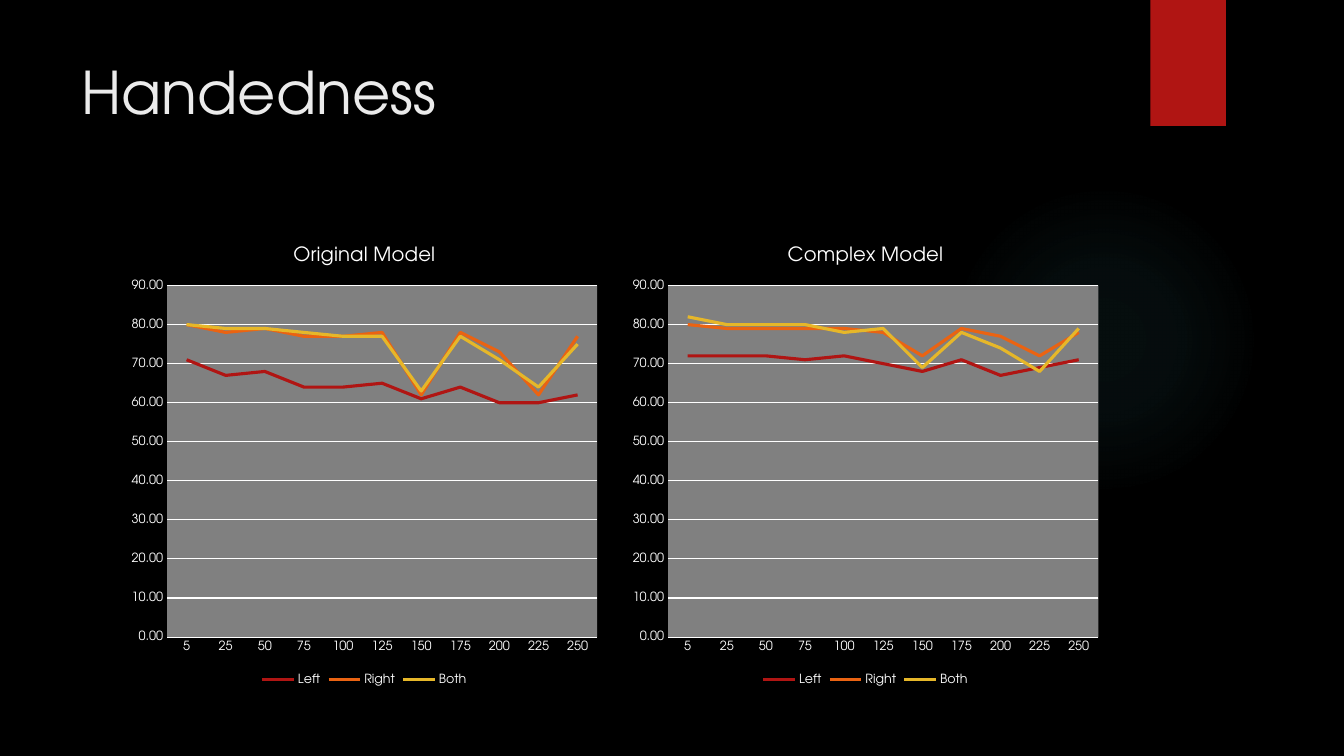
from lxml.etree import SubElement
from pptx import Presentation
from pptx.chart.data import CategoryChartData
from pptx.dml.color import RGBColor
from pptx.enum.chart import XL_CHART_TYPE, XL_LEGEND_POSITION, XL_TICK_MARK
from pptx.enum.shapes import MSO_SHAPE
from pptx.enum.text import MSO_ANCHOR
from pptx.oxml import parse_xml
from pptx.oxml.ns import nsdecls, qn
from pptx.util import Inches, Pt

FONT = "TeX Gyre Adventor"
BLACK = RGBColor(0x00, 0x00, 0x00)
WHITE = RGBColor(0xFF, 0xFF, 0xFF)
TITLE_GREY = RGBColor(0xEB, 0xEB, 0xEB)
PLOT_GREY = RGBColor(0x80, 0x80, 0x80)
TEAL = RGBColor(0x50, 0xB9, 0xC1)
RED = RGBColor(0xB0, 0x15, 0x13)
ORANGE = RGBColor(0xEA, 0x63, 0x12)
YELLOW = RGBColor(0xE6, 0xB7, 0x29)

HAND_COLOURS = {"Left": RED, "Right": ORANGE, "Both": YELLOW}
CATEGORIES = ["5"] + [str(n) for n in range(25, 251, 25)]
MODELS = [
    ("Original Model", 1.21, {
        "Left": [71, 67, 68, 64, 64, 65, 61, 64, 60, 60, 62],
        "Right": [80, 78, 79, 77, 77, 78, 62, 78, 73, 62, 77],
        "Both": [80, 79, 79, 78, 77, 77, 63, 77, 71, 64, 75],
    }),
    ("Complex Model", 6.18, {
        "Left": [72, 72, 72, 71, 72, 70, 68, 71, 67, 69, 71],
        "Right": [80, 79, 79, 79, 79, 78, 72, 79, 77, 72, 78],
        "Both": [82, 80, 80, 80, 78, 79, 69, 78, 74, 68, 79],
    }),
]
PLOT_AREA = {"x": 0.093, "y": 0.127, "w": 0.887, "h": 0.76}


def style_font(font, size, colour=WHITE):
    font.name = FONT
    font.size = Pt(size)
    font.bold = False
    font.color.rgb = colour


prs = Presentation()
prs.slide_width = Inches(13.33)
prs.slide_height = Inches(7.5)
slide = prs.slides.add_slide(prs.slide_layouts[6])
slide.background.fill.solid()
slide.background.fill.fore_color.rgb = BLACK

# Faint teal glow
glow = slide.shapes.add_shape(MSO_SHAPE.OVAL, Inches(9.41), Inches(1.83),
                              Inches(3.08), Inches(3.08))
glow.shadow.inherit = False
glow.line.fill.background()
stops = "".join(
    f'<a:gs pos="{pos * 1000}"><a:srgbClr val="{TEAL}">'
    f'<a:alpha val="{alpha * 1000}"/></a:srgbClr></a:gs>'
    for pos, alpha in [(0, 7), (36, 6), (69, 0)])
glow_properties = glow.element.spPr
glow_properties.find(qn("a:prstGeom")).addnext(parse_xml(
    f'<a:gradFill {nsdecls("a")}><a:gsLst>{stops}</a:gsLst><a:path path="circle">'
    '<a:fillToRect l="50000" t="50000" r="50000" b="50000"/></a:path></a:gradFill>'))

# Red tab
tab = slide.shapes.add_shape(MSO_SHAPE.RECTANGLE, Inches(11.41), 0,
                             Inches(0.75), Inches(1.25))
tab.shadow.inherit = False
tab.fill.solid()
tab.fill.fore_color.rgb = RED
tab.line.fill.background()

# Heading
heading = slide.shapes.add_textbox(Inches(0.71), Inches(0.5), Inches(10.29), Inches(1.53))
heading.text_frame.word_wrap = True
heading.text_frame.vertical_anchor = MSO_ANCHOR.TOP
heading.text_frame.text = "Handedness"
style_font(heading.text_frame.paragraphs[0].font, 42, TITLE_GREY)

# One line chart per model
for model, left, accuracy in MODELS:
    data = CategoryChartData(number_format="0.00")
    data.categories = CATEGORIES
    for hand, values in accuracy.items():
        data.add_series(hand, values)
    chart = slide.shapes.add_chart(XL_CHART_TYPE.LINE, Inches(left), Inches(2.25),
                                   Inches(4.81), Inches(4.59), data).chart
    style_font(chart.font, 10)

    chart.has_title = True
    chart.chart_title.text_frame.text = model
    style_font(chart.chart_title.text_frame.paragraphs[0].font, 14)
    chart.chart_title.include_in_layout = False

    chart.has_legend = True
    chart.legend.position = XL_LEGEND_POSITION.BOTTOM
    chart.legend.include_in_layout = False
    style_font(chart.legend.font, 9)

    # Axes
    for axis in (chart.category_axis, chart.value_axis):
        axis.major_tick_mark = XL_TICK_MARK.NONE
        axis.minor_tick_mark = XL_TICK_MARK.NONE
        style_font(axis.tick_labels.font, 9)
    chart.category_axis.format.line.color.rgb = WHITE
    chart.category_axis.format.line.width = Pt(0.75)
    scale = chart.value_axis
    scale.minimum_scale, scale.maximum_scale, scale.major_unit = 0, 90, 10
    scale.format.line.fill.background()
    scale.major_gridlines.format.line.color.rgb = WHITE
    scale.major_gridlines.format.line.width = Pt(0.75)
    scale.tick_labels.number_format = "0.00"
    scale.tick_labels.number_format_is_linked = False

    # Lines
    chart.plots[0].vary_by_categories = False
    for series in chart.plots[0].series:
        series.smooth = False
        series.format.line.color.rgb = HAND_COLOURS[series.name]
        series.format.line.width = Pt(2.25)

    # Grey plot area at a fixed place
    plot_area = chart.element.find(".//" + qn("c:plotArea"))
    for old_layout in plot_area.findall(qn("c:layout")):
        plot_area.remove(old_layout)
    layout = parse_xml(f'<c:layout {nsdecls("c")}><c:manualLayout>'
                       '<c:layoutTarget val="inner"/><c:xMode val="edge"/>'
                       '<c:yMode val="edge"/></c:manualLayout></c:layout>')
    for side, share in PLOT_AREA.items():
        SubElement(layout[0], qn(f"c:{side}")).set("val", str(share))
    plot_area.insert(0, layout)
    plot_area.append(parse_xml(
        f'<c:spPr {nsdecls("c", "a")}><a:solidFill><a:srgbClr val="{PLOT_GREY}"/>'
        '</a:solidFill><a:ln><a:noFill/></a:ln></c:spPr>'))

prs.save("out.pptx")
